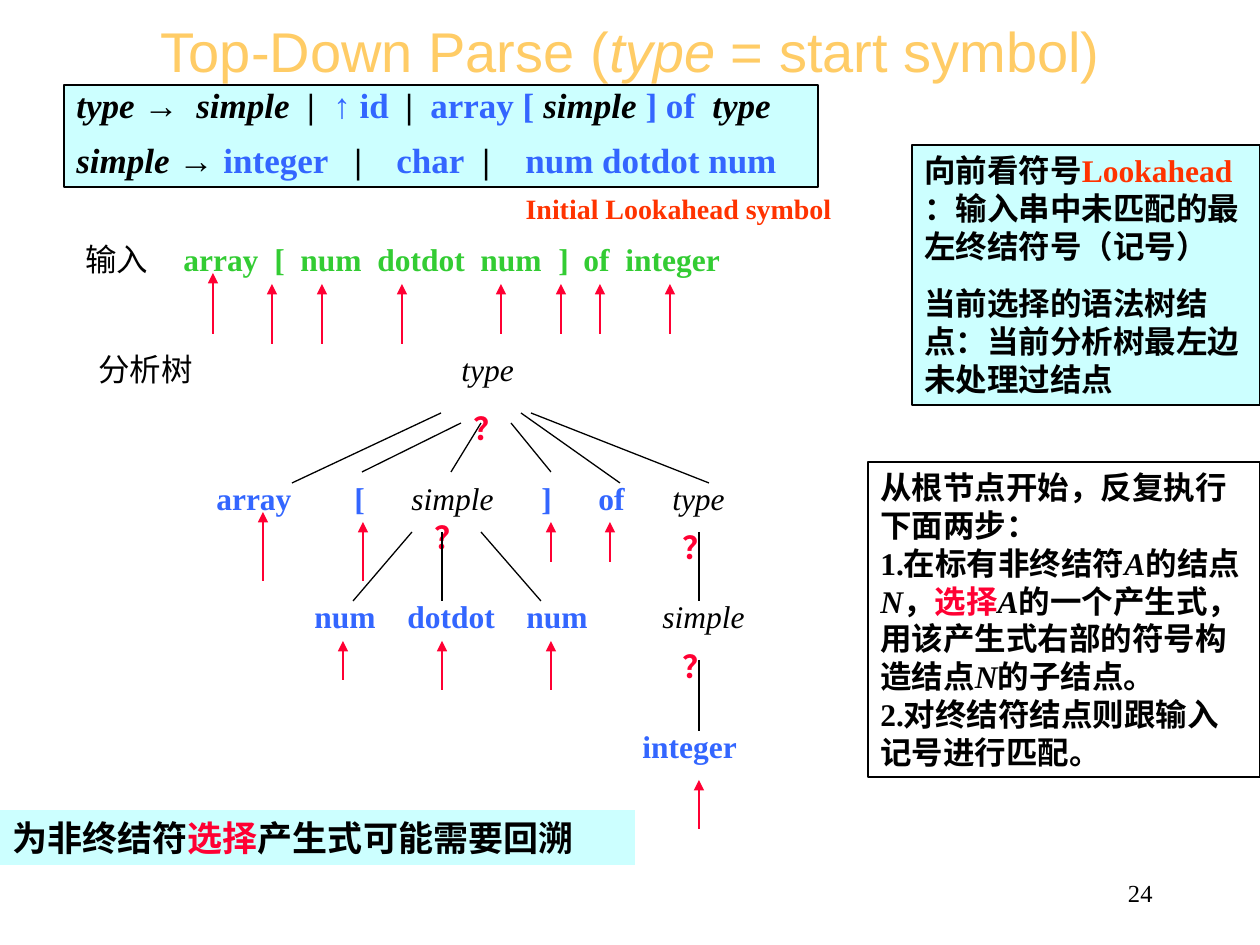
from lxml import etree
from pptx import Presentation
from pptx.dml.color import RGBColor
from pptx.enum.shapes import MSO_CONNECTOR, MSO_SHAPE
from pptx.enum.text import MSO_ANCHOR, MSO_AUTO_SIZE, PP_ALIGN
from pptx.oxml.ns import qn
from pptx.util import Pt

LEFT, CENTER, RIGHT = PP_ALIGN.LEFT, PP_ALIGN.CENTER, PP_ALIGN.RIGHT
TOP, MIDDLE = MSO_ANCHOR.TOP, MSO_ANCHOR.MIDDLE
STRAIGHT, RECTANGLE = MSO_CONNECTOR.STRAIGHT, MSO_SHAPE.RECTANGLE
FIXED = MSO_AUTO_SIZE.NONE

PX = 914400 / 126
BLACK, BLUE, GREEN, GOLD = "000000", "3366FF", "33CC33", "FFCC66"
RED, ORANGE, CYAN = "FF0033", "FF3300", "CCFFFF"
color = RGBColor.from_string


def write(frame, paragraphs, size=18, align=LEFT, anchor=TOP, tabs=(), gap=0, spacing=1.0):
    """Fill a frame; a run is (text, colour, style) with b bold, i italic, a Arial."""
    frame.word_wrap = True
    frame.auto_size = FIXED
    frame.vertical_anchor = anchor
    for index, runs in enumerate(paragraphs):
        paragraph = frame.paragraphs[0] if index == 0 else frame.add_paragraph()
        paragraph.alignment = align
        paragraph.line_spacing = spacing
        paragraph.space_before = Pt(gap if index else 0)
        properties = paragraph._p.get_or_add_pPr()
        properties.set("hangingPunct", "0")
        if tabs:
            stops = etree.SubElement(properties, qn("a:tabLst"))
            for stop in tabs[index]:
                etree.SubElement(stops, qn("a:tab"), pos=str(round(stop * PX)), algn="l")
        for text, hue, style in runs:
            run = paragraph.add_run()
            run.text = text
            run.font.size = Pt(size)
            run.font.name = "Arial" if "a" in style else "Times New Roman"
            run.font.bold = "b" in style
            run.font.italic = "i" in style
            run.font.color.rgb = color(hue)


def draw_line(x1, y1, x2, y2, hue=BLACK, arrow=False):
    line = slide.shapes.add_connector(STRAIGHT, *(round(v * PX) for v in (x1, y1, x2, y2)))
    line.line.color.rgb = color(hue)
    line.line.width = Pt(0.75)
    if arrow:
        etree.SubElement(line.line._get_or_add_ln(), qn("a:tailEnd"), type="triangle")
    etree.SubElement(line._element.spPr, qn("a:effectLst"))


prs = Presentation()
prs.slide_width, prs.slide_height = round(1260 * PX), round(945 * PX)
slide = prs.slides.add_slide(prs.slide_layouts[5])

# Title
title = slide.shapes.title
title.left, title.top, title.width, title.height = (round(v * PX) for v in (95, 0, 1071, 100))
write(title.text_frame, [[("Top-Down Parse (", GOLD, "a"), ("type", GOLD, "ai"),
                          (" = start symbol)", GOLD, "a")]], size=32, align=CENTER, anchor=MIDDLE)

# Panels: grammar, definitions, procedure, conclusion
grammar = [
    [("type ", BLACK, "bi"), ("→\t", BLACK, "ba"), ("simple\t|\t", BLACK, "bi"), ("↑", BLUE, "ba"),
     (" id", BLUE, "b"), ("\t|\t", BLACK, "b"), ("array [ ", BLUE, "b"), ("simple ", BLACK, "bi"),
     ("] of\t", BLUE, "b"), ("type", BLACK, "bi")],
    [("simple ", BLACK, "bi"), ("→ ", BLACK, "ba"), ("integer", BLUE, "b"), ("\t|\t", BLACK, "b"),
     ("char", BLUE, "b"), ("\t|\t", BLACK, "b"), ("num dotdot num", BLUE, "b")],
]
grammar_tabs = [(120, 231, 257, 329, 354, 636), (278, 320, 406, 449)]
definitions = [
    [("向前看符号", BLACK, "b"), ("Lookahead ", ORANGE, "b"),
     ("：输入串中未匹配的最左终结符号（记号）", BLACK, "b")],
    [("当前选择的语法树结点：当前分析树最左边未处理过结点", BLACK, "b")],
]
procedure = [
    [("从根节点开始，反复执行下面两步：", BLACK, "b")],
    [("1.在标有非终结符", BLACK, "b"), ("A", BLACK, "bi"), ("的结点", BLACK, "b"),
     ("N", BLACK, "bi"), ("，", BLACK, "b"), ("选择", RED, "b"), ("A", BLACK, "bi"),
     ("的一个产生式，用该产生式右部的符号构造结点", BLACK, "b"), ("N", BLACK, "bi"),
     ("的子结点。", BLACK, "b")],
    [("2.对终结符结点则跟输入记号进行匹配。", BLACK, "b")],
]
conclusion = [[("为非终结符", BLACK, "b"), ("选择", RED, "b"), ("产生式可能需要回溯", BLACK, "b")]]
for place, fill, outlined, paragraphs, style in (
    ((64, 85, 754, 102), CYAN, True, grammar,
     {"size": 20, "tabs": grammar_tabs, "gap": 12.5, "spacing": 0.8}),
    ((912, 145, 348, 260), CYAN, True, definitions, {"gap": 11.2}),
    ((868, 462, 392, 315), None, True, procedure, {}),
    ((0, 810, 635, 55), CYAN, False, conclusion, {"size": 20}),
):
    panel = slide.shapes.add_shape(RECTANGLE, *(round(v * PX) for v in place))
    panel.shadow.inherit = False
    if fill:
        panel.fill.solid()
        panel.fill.fore_color.rgb = color(fill)
    else:
        panel.fill.background()
    if outlined:
        panel.line.color.rgb = color(BLACK)
        panel.line.width = Pt(0.75)
    else:
        panel.line.fill.background()
    write(panel.text_frame, paragraphs, **style)

# Input row, tree rows and single tree nodes
for left, top, width, runs, tabs in (
    (73, 234, 680, [("输入\t", BLACK, ""),
                    ("array\t[\tnum\tdotdot\tnum\t]\tof\tinteger", GREEN, "b")],
     (98, 189, 215, 292, 395, 473, 498, 540)),
    (86, 344, 461, [("分析树\t", BLACK, ""), ("type", BLACK, "i")], (363,)),
    (204, 473, 554, [("array\t[\t", BLUE, "b"), ("simple\t", BLACK, "i"),
                     ("]\tof\t", BLUE, "b"), ("type", BLACK, "i")], (138, 195, 325, 382, 456)),
    (302, 591, 317, [("num\tdotdot\tnum", BLUE, "b")], (93, 212)),
    (650, 591, 120, [("simple", BLACK, "i")], ()),
    (630, 721, 130, [("integer", BLUE, "b")], ()),
):
    row = slide.shapes.add_textbox(*(round(v * PX) for v in (left, top, width, 50)))
    write(row.text_frame, [runs], tabs=[tabs] if tabs else ())

# Question marks where a production is chosen
for left, top in ((461, 403), (422, 512), (670, 522), (670, 641)):
    choice = slide.shapes.add_textbox(*(round(v * PX) for v in (left, top, 60, 50)))
    write(choice.text_frame, [[("？", RED, "b")]])

# Lookahead label and page number
for place, runs, style in (
    ((510, 185, 337, 49), [("Initial Lookahead symbol", ORANGE, "b")], {"size": 16, "align": CENTER}),
    ((903, 861, 262, 63), [("24", BLACK, "")], {"size": 14, "align": RIGHT, "anchor": MIDDLE}),
):
    label = slide.shapes.add_textbox(*(round(v * PX) for v in place))
    write(label.text_frame, [runs], **style)

# Tree branches
for branch in (
    (441, 413, 292, 483), (461, 423, 362, 472), (481, 423, 451, 472),
    (511, 423, 551, 472), (521, 413, 620, 483), (531, 413, 709, 483),
    (412, 532, 353, 601), (442, 532, 442, 601), (481, 532, 541, 601),
    (699, 532, 699, 601), (699, 660, 699, 731),
):
    draw_line(*branch)

# Lookahead arrows, grouped by shared start and end height
for bottom, tip, columns in (
    (334, 273, (213,)), (344, 284, (272, 322, 402)), (334, 284, (501, 561, 600, 670)),
    (581, 512, (263,)), (581, 522, (363,)), (562, 522, (551, 610)),
    (680, 641, (343,)), (690, 641, (442, 551)), (829, 780, (699,)),
):
    for x in columns:
        draw_line(x, bottom, x, tip, hue=RED, arrow=True)

prs.save("out.pptx")
